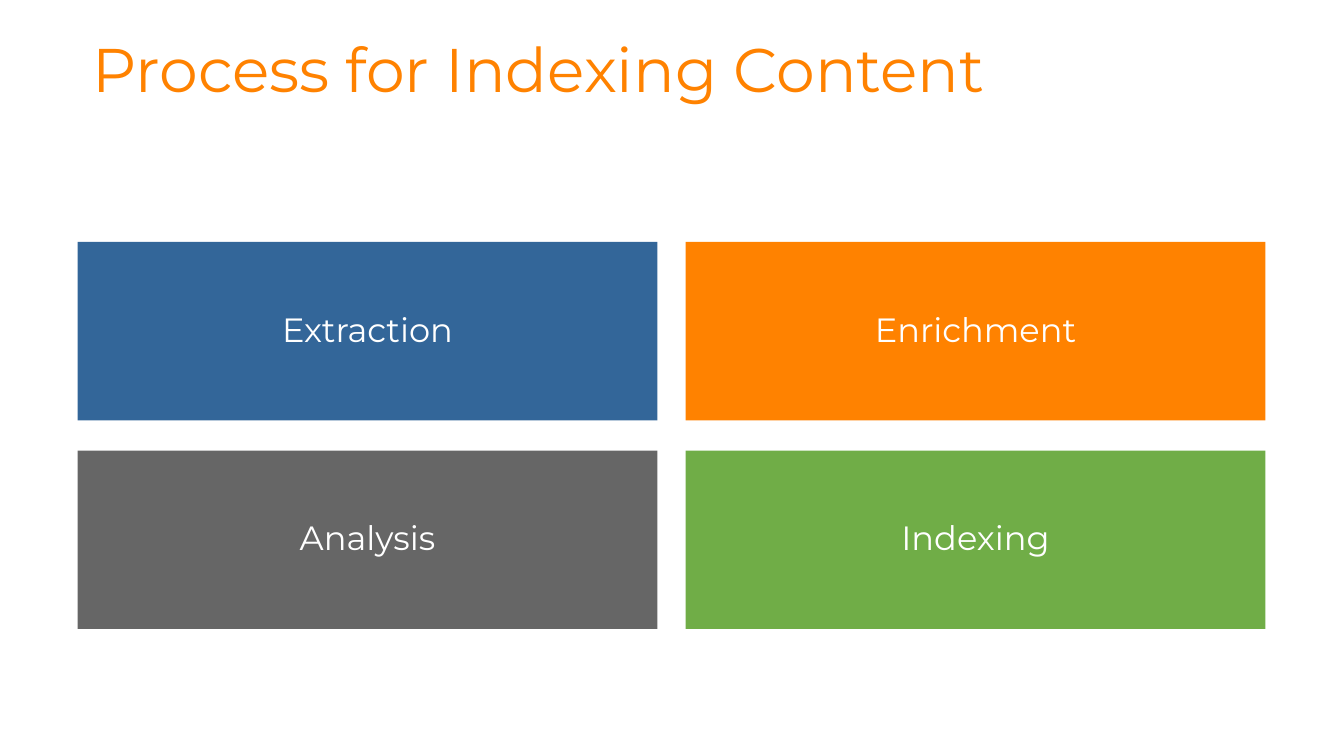
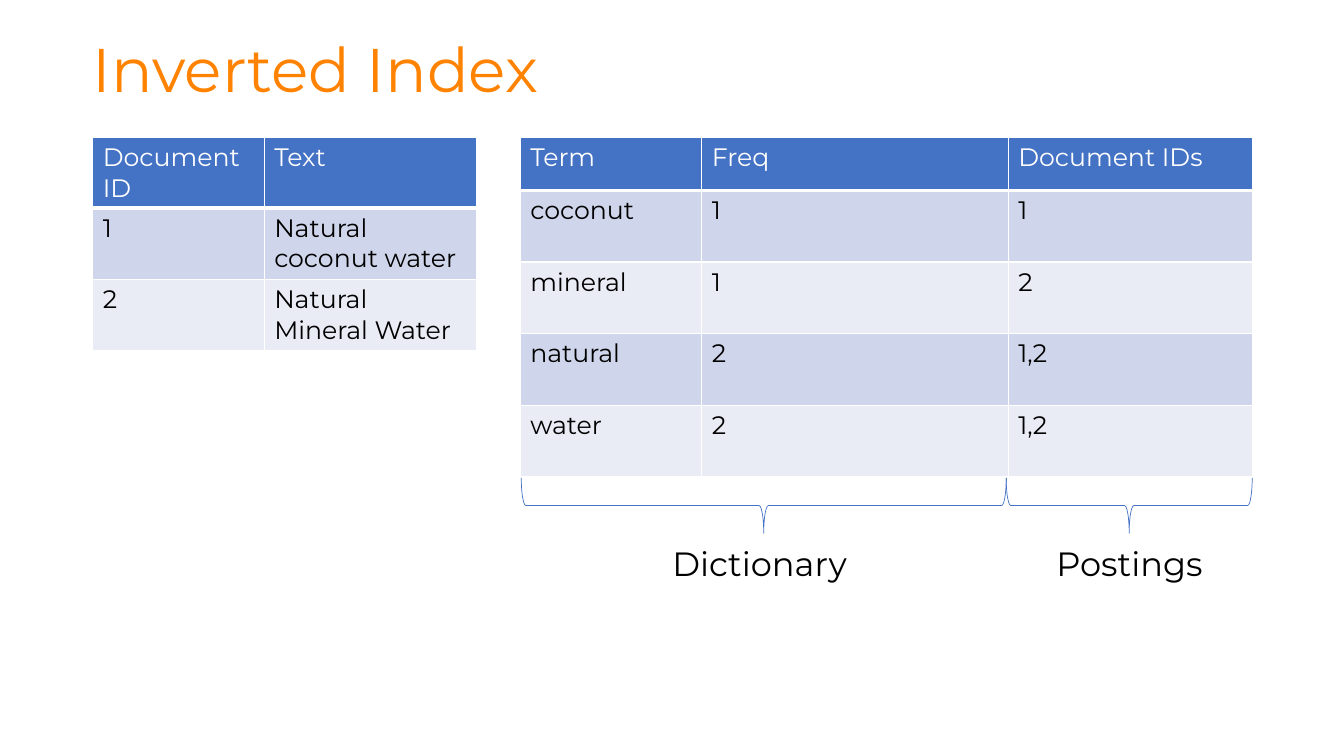
"""Build two slides on indexing content and the inverted index."""
from lxml.etree import SubElement
from pptx import Presentation
from pptx.dml.color import RGBColor
from pptx.enum.shapes import MSO_SHAPE
from pptx.enum.text import MSO_ANCHOR, PP_ALIGN
from pptx.oxml.ns import qn
from pptx.util import Inches, Pt

COLORS = {
    "white": "FFFFFF", "black": "000000", "orange": "FF8200", "blue": "336699",
    "gray": "666666", "green": "70AD47", "accent": "4472C4",
    "band_dark": "CFD5EA", "band_light": "E9EBF5",
}
FONT = "Montserrat"


def color(name):
    return RGBColor.from_string(COLORS[name])


def write(frame, text, size=24, ink="black", align=PP_ALIGN.LEFT, spacing=0.9,
          anchor=MSO_ANCHOR.MIDDLE, insets=(0.1, 0.05, 0.1, 0.05)):
    frame.word_wrap = True
    frame.vertical_anchor = anchor
    (frame.margin_left, frame.margin_top,
     frame.margin_right, frame.margin_bottom) = map(Inches, insets)
    paragraph = frame.paragraphs[0]
    paragraph.alignment = align
    paragraph.line_spacing = spacing
    run = paragraph.add_run()
    run.text = text
    run.font.name = FONT
    run.font.size = Pt(size)
    run.font.color.rgb = color(ink)


def add_borders(cell, top, bottom):
    properties = cell._tc.get_or_add_tcPr()
    for side, width in (("L", 1), ("R", 1), ("T", top), ("B", bottom)):
        line = SubElement(properties, qn(f"a:ln{side}"), w=str(Pt(width)))
        fill = SubElement(line, qn("a:solidFill"))
        SubElement(fill, qn("a:srgbClr"), val=COLORS["white"])


class Deck:
    def __init__(self):
        self.presentation = Presentation()
        self.presentation.slide_width = Inches(13.33)
        self.presentation.slide_height = Inches(7.5)
        self.slide = None

    def add_slide(self, title):
        layout = self.presentation.slide_layouts[6]
        self.slide = self.presentation.slides.add_slide(layout)
        self.add_text(title, 0.92, 0.34, 11.5, 1.02, size=44, ink="orange",
                      anchor=MSO_ANCHOR.TOP, insets=(0, 0.05, 0.1, 0.05))

    def add_text(self, text, left, top, width, height, **style):
        box = self.slide.shapes.add_textbox(*map(Inches, (left, top, width, height)))
        write(box.text_frame, text, **style)

    def add_tile(self, text, fill, left, top, width, height):
        tile = self.slide.shapes.add_shape(
            MSO_SHAPE.RECTANGLE, *map(Inches, (left, top, width, height)))
        tile.shadow.inherit = False
        tile.fill.solid()
        tile.fill.fore_color.rgb = color(fill)
        tile.line.fill.background()
        write(tile.text_frame, text, ink="white", align=PP_ALIGN.CENTER, insets=(0.3,) * 4)

    def add_table(self, rows, left, top, widths, header_height=0.53, row_height=0.71):
        heights = [header_height] + [row_height] * (len(rows) - 1)
        table = self.slide.shapes.add_table(
            len(rows), len(widths),
            *map(Inches, (left, top, sum(widths), sum(heights)))).table
        for column, width in zip(table.columns, widths):
            column.width = Inches(width)
        for index, (values, height) in enumerate(zip(rows, heights)):
            table.rows[index].height = Inches(height)
            band = "band_dark" if index % 2 else "band_light"
            for position, value in enumerate(values):
                cell = table.cell(index, position)
                add_borders(cell, top=3 if index == 1 else 1, bottom=1 if index else 3)
                cell.fill.solid()
                cell.fill.fore_color.rgb = color(band if index else "accent")
                write(cell.text_frame, value, size=18, spacing=1,
                      ink="black" if index else "white")
                cell.vertical_anchor = MSO_ANCHOR.TOP

    def add_brace(self, left, right, top, depth=0.55):
        span = right - left
        brace = self.slide.shapes.add_shape(
            MSO_SHAPE.LEFT_BRACE, Inches((left + right - depth) / 2),
            Inches(top + (depth - span) / 2), Inches(depth), Inches(span))
        brace.rotation = 270
        brace.shadow.inherit = False
        brace.fill.background()
        brace.line.color.rgb = color("accent")
        brace.line.width = Pt(0.5)


def build_process(deck):
    deck.add_slide("Process for Indexing Content")
    steps = [("Extraction", "blue"), ("Enrichment", "orange"),
             ("Analysis", "gray"), ("Indexing", "green")]
    for index, (step, fill) in enumerate(steps):
        row, column = divmod(index, 2)
        deck.add_tile(step, fill, 0.77 + column * 6.03, 2.4 + row * 2.07, 5.75, 1.77)


def build_inverted_index(deck):
    deck.add_slide("Inverted Index")
    documents = [("Document ID", "Text"), ("1", "Natural coconut water"),
                 ("2", "Natural Mineral Water")]
    terms = [("Term", "Freq", "Document IDs"), ("coconut", "1", "1"),
             ("mineral", "1", "2"), ("natural", "2", "1,2"), ("water", "2", "1,2")]
    deck.add_table(documents, 0.92, 1.36, (1.7, 2.11))
    deck.add_table(terms, 5.16, 1.36, (1.8, 3.04, 2.42))
    for part, left, right, label_left in (("Dictionary", 5.17, 9.98, 6.57),
                                          ("Postings", 9.98, 12.42, 10.38)):
        deck.add_brace(left, right, 4.74)
        deck.add_text(part, label_left, 5.29, 2, 0.65)


def main():
    deck = Deck()
    build_process(deck)
    build_inverted_index(deck)
    deck.presentation.save("out.pptx")


if __name__ == "__main__":
    main()
